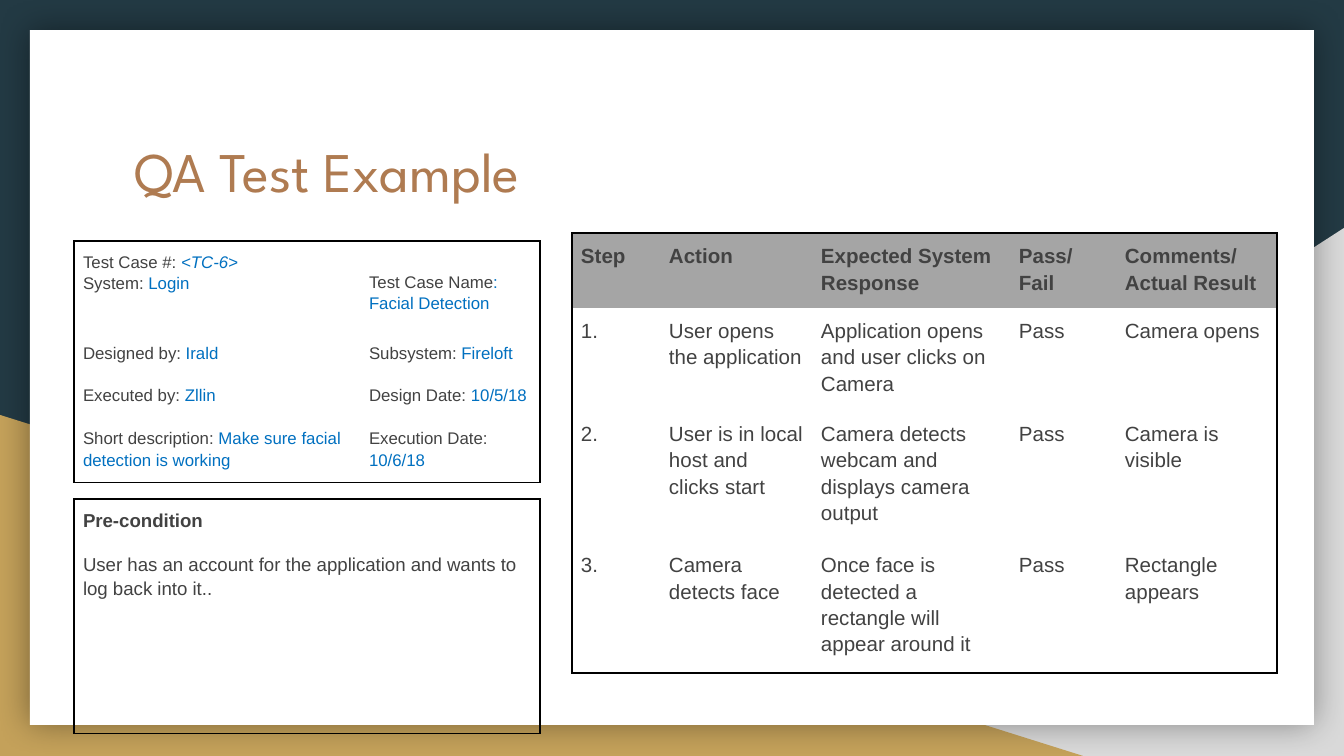
from lxml.etree import SubElement
from pptx import Presentation
from pptx.dml.color import RGBColor
from pptx.enum.shapes import MSO_SHAPE
from pptx.enum.text import MSO_ANCHOR
from pptx.oxml.ns import qn
from pptx.util import Emu, Pt

# Content: a cell is a list of paragraphs, a paragraph is (label, value)
STEPS = [
    ["Step", "Action", "Expected System Response", "Pass/Fail", "Comments/Actual Result"],
    ["1.", "User opens the application", "Application opens and user clicks on Camera",
     "Pass", "Camera opens"],
    ["2.", "User is in local host and clicks start",
     "Camera detects webcam and displays camera output", "Pass", "Camera is visible"],
    ["3.", "Camera detects face", "Once face is detected a rectangle will appear around it",
     "Pass", "Rectangle appears"],
]
PRECONDITION = [
    ["Pre-condition"],
    ["User has an account for the application and wants to log back into it.."],
    [""],
    [""],
]
CASE = [
    [[("Test Case #: ", "<TC-6>"), ("System: ", "Login")],
     [("Test Case Name", ": "), ("", "Facial Detection")]],
    [[("Designed by: ", "Irald")], [("Subsystem: ", "Fireloft")]],
    [[("Executed by: ", "Zllin")], [("Design Date: ", "10/5/18")]],
    [[("Short description: ", "Make sure facial detection is working")],
     [("Execution Date: ", "10/6/18")]],
]
THEME = dict(
    back="233A44", grey="D9D9D9", gold="C4A15A", paper="FFFFFF", title="AF7B51",
    text="424242", value="0070C0", header="A5A5A5", border="000000",
    title_font="League Spartan", font="Arial",
    title_size=30, step_size=11, pre_size=10, case_size=9,
)
SCALE = 914400 / 134.4
INSET = 9


def px(n):
    return Emu(round(n * SCALE))


def rgb(name):
    return RGBColor.from_string(THEME[name])


def add_text(p, text, size, color="text", font="font", bold=False, italic=False):
    r = p.add_run()
    r.text = text
    r.font.name, r.font.size = THEME[font], Pt(THEME[size])
    r.font.bold, r.font.italic = bold, italic
    r.font.color.rgb = rgb(color)


def add_block(kind, box, color, flip=False):
    sp = slide.shapes.add_shape(kind, *map(px, box))
    sp.shadow.inherit = False
    sp.fill.solid()
    sp.fill.fore_color.rgb = rgb(color)
    sp.line.fill.background()
    if flip:
        sp._element.spPr.xfrm.set("flipH", "1")
    return sp


def set_borders(cell, edges):
    """Draw the listed edges and hide the others."""
    tcPr = cell._tc.get_or_add_tcPr()
    for i, edge in enumerate("LRTB"):
        ln = tcPr.makeelement(qn("a:ln" + edge), {"w": str(Pt(1))})
        tcPr.insert(i, ln)
        if edge in edges:
            fill = SubElement(ln, qn("a:solidFill"))
            SubElement(fill, qn("a:srgbClr"), val=THEME["border"])
        else:
            SubElement(ln, qn("a:noFill"))


def add_table(rows, left, top, widths, heights, size, bold_head=False, head_fill=None):
    frame = slide.shapes.add_table(len(rows), len(widths), px(left), px(top),
                                   px(sum(widths)), px(sum(heights)))
    table = frame.table
    table.first_row = table.horz_banding = False
    for col, w in zip(table.columns, widths):
        col.width = px(w)
    for row, h in zip(table.rows, heights):
        row.height = px(h)
    last_row, last_col = len(rows) - 1, len(widths) - 1
    for i, row in enumerate(rows):
        for j, content in enumerate(row):
            cell = table.cell(i, j)
            cell.margin_left = cell.margin_right = px(INSET)
            cell.margin_top = cell.margin_bottom = px(INSET)
            if head_fill and i == 0:
                cell.fill.solid()
                cell.fill.fore_color.rgb = rgb(head_fill)
            else:
                cell.fill.background()
            outer = {"L": j == 0, "R": j == last_col, "T": i == 0, "B": i == last_row}
            set_borders(cell, [edge for edge, on in outer.items() if on])
            pairs = [(content, "")] if isinstance(content, str) else content
            for n, (label, value) in enumerate(pairs):
                tf = cell.text_frame
                p = tf.add_paragraph() if n else tf.paragraphs[0]
                p.line_spacing = 1.15
                if label:
                    add_text(p, label, size, bold=bold_head and i == 0)
                if value:
                    add_text(p, value, size, "value", italic=value.startswith("<"))
    return table


prs = Presentation()
prs.slide_width, prs.slide_height = px(1344), px(756)
slide = prs.slides.add_slide(prs.slide_layouts[6])

# Backdrop and paper
slide.background.fill.solid()
slide.background.fill.fore_color.rgb = rgb("back")
add_block(MSO_SHAPE.RIGHT_TRIANGLE, (527, 228, 817, 528), "grey", flip=True)
add_block(MSO_SHAPE.RIGHT_TRIANGLE, (0, 415, 1083, 341), "gold")
paper = add_block(MSO_SHAPE.RECTANGLE, (30, 30, 1284, 695), "paper")
effects = paper._element.spPr.find(qn("a:effectLst"))
shadow = SubElement(effects, qn("a:outerShdw"), blurRad=str(Pt(18)), dist="0", dir="0",
                    algn="ctr", rotWithShape="0")
tint = SubElement(shadow, qn("a:srgbClr"), val=THEME["border"])
SubElement(tint, qn("a:alpha"), val="40000")

# Title
tf = slide.shapes.add_textbox(*map(px, (121, 124, 1103, 140))).text_frame
tf.word_wrap = True
tf.vertical_anchor = MSO_ANCHOR.TOP
tf.margin_left = tf.margin_right = tf.margin_top = tf.margin_bottom = px(13)
add_text(tf.paragraphs[0], "QA Test Example", "title_size", "title", "title_font")

# Tables
add_table(STEPS, 572, 233, [88, 152, 198, 106, 161], [71, 98, 123, 123], "step_size",
          bold_head=True, head_fill="header")
add_table(PRECONDITION, 74, 499, [466], [43, 74, 56, 56], "pre_size", bold_head=True)
case = add_table(CASE, 74, 241, [286, 180], [91, 43, 43, 62], "case_size")
case.cell(0, 1).margin_top = px(INSET + 20)

prs.save("out.pptx")
